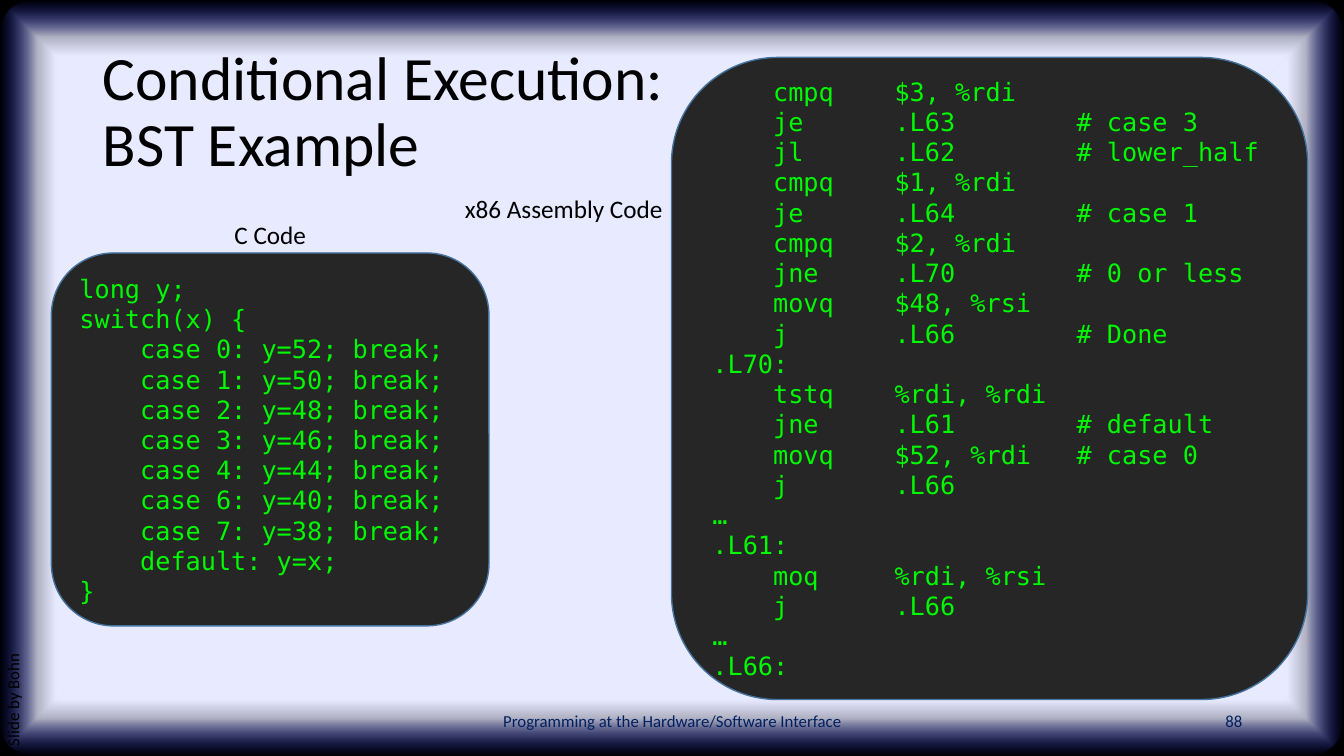
from lxml.etree import SubElement
from pptx import Presentation
from pptx.dml.color import RGBColor
from pptx.enum.shapes import MSO_SHAPE
from pptx.enum.text import MSO_ANCHOR, MSO_AUTO_SIZE, PP_ALIGN
from pptx.oxml import parse_xml
from pptx.oxml.ns import nsdecls, qn
from pptx.util import Inches, Pt

WIDTH, HEIGHT = 13.33, 7.5
CODE_FONT, CODE_COLOR = "DejaVu Sans Mono", "00FA00"
CODE_SIZE = 18
CHARACTER_WIDTH = 0.602 * CODE_SIZE / 72
TAB_COLUMNS = (4, 12, 24)
GLOW_STOPS = [(85, "E8EAFF", 100), (90, "E8EAFF", 75), (100, "162AFF", 0)]

CASES = {0: 52, 1: 50, 2: 48, 3: 46, 4: 44, 6: 40, 7: 38}
C_CODE = [
    "long y;",
    "switch(x) {",
    *(f"\tcase {case}: y={value}; break;" for case, value in CASES.items()),
    "\tdefault: y=x;",
    "}",
]
ASSEMBLY_CODE = [
    "\tcmpq\t$3, %rdi",
    "\tje\t.L63\t# case 3",
    "\tjl\t.L62\t# lower_half",
    "\tcmpq\t$1, %rdi",
    "\tje\t.L64\t# case 1",
    "\tcmpq\t$2, %rdi",
    "\tjne\t.L70\t# 0 or less",
    "\tmovq\t$48, %rsi",
    "\tj\t.L66\t# Done",
    ".L70:",
    "\ttstq\t%rdi, %rdi",
    "\tjne\t.L61\t# default",
    "\tmovq\t$52, %rdi\t# case 0",
    "\tj\t.L66",
    "…",
    ".L61:",
    "\tmoq\t%rdi, %rsi",
    "\tj\t.L66",
    "…",
    ".L66:",
]
CODE_PANELS = [
    ((0.51, 2.51, 4.34, 3.7), C_CODE),
    ((6.66, 0.57, 6.31, 6.37), ASSEMBLY_CODE),
]
TITLE = ["Conditional Execution:", "BST Example"]
FOOTERS = [
    ((4.42, 6.95, 4.5, 0.4), "Programming at the Hardware/Software Interface", PP_ALIGN.CENTER),
    ((9.42, 6.95, 3, 0.4), "88", PP_ALIGN.RIGHT),
]
LABELS = [
    ((2.22, 2.13, 0.92, 0.4), "C Code", PP_ALIGN.CENTER),
    ((4.46, 1.87, 2.21, 0.4), "x86 Assembly Code", PP_ALIGN.RIGHT),
]


def color(value):
    return RGBColor.from_string(value)


def add_span(para, text, size, ink, font="Calibri"):
    span = para.add_run()
    span.text = text
    span.font.size = Pt(size)
    span.font.name = font
    span.font.color.rgb = color(ink)


def add_panel(page, place, kind, fill, line=None):
    panel = page.shapes.add_shape(kind, *map(Inches, place))
    panel.shadow.inherit = False
    panel.fill.solid()
    panel.fill.fore_color.rgb = color(fill)
    if line:
        panel.line.color.rgb = color(line)
        panel.line.width = Pt(1)
    else:
        panel.line.fill.background()
    return panel


def add_glow(panel):
    stops = "".join(
        f'<a:gs pos="{position * 1000}"><a:srgbClr val="{ink}">'
        f'<a:alpha val="{alpha * 1000}"/></a:srgbClr></a:gs>'
        for position, ink, alpha in GLOW_STOPS
    )
    gradient = parse_xml(
        f'<a:gradFill {nsdecls("a")} rotWithShape="1"><a:gsLst>{stops}</a:gsLst>'
        '<a:path path="shape"><a:fillToRect l="50000" t="50000" r="50000" b="50000"/>'
        "</a:path></a:gradFill>"
    )
    properties = panel.fill._xPr
    properties.replace(properties.find(qn("a:solidFill")), gradient)


def add_code(page, place, lines):
    panel = add_panel(page, place, MSO_SHAPE.ROUNDED_RECTANGLE, "262626", "43739E")
    frame = panel.text_frame
    frame.word_wrap = True
    frame.vertical_anchor = MSO_ANCHOR.MIDDLE
    for index, line in enumerate(lines):
        para = frame.add_paragraph() if index else frame.paragraphs[0]
        para.alignment = PP_ALIGN.LEFT
        tabs = SubElement(para._p.get_or_add_pPr(), qn("a:tabLst"))
        for column in TAB_COLUMNS:
            stop = Inches(column * CHARACTER_WIDTH)
            SubElement(tabs, qn("a:tab"), pos=str(stop), algn="l")
        add_span(para, line, CODE_SIZE, CODE_COLOR, CODE_FONT)


def add_text(page, place, lines, size, ink="000000", align=PP_ALIGN.LEFT,
             anchor=MSO_ANCHOR.TOP, spacing=None, wrap=True):
    box = page.shapes.add_textbox(*map(Inches, place))
    frame = box.text_frame
    frame.word_wrap = wrap
    frame.auto_size = MSO_AUTO_SIZE.NONE if wrap else MSO_AUTO_SIZE.SHAPE_TO_FIT_TEXT
    frame.vertical_anchor = anchor
    para = frame.paragraphs[0]
    para.alignment = align
    para.line_spacing = spacing
    for index, line in enumerate(lines):
        if index:
            para.add_line_break()
        add_span(para, line, size, ink)
    return box


def main():
    """Build the slide comparing a C switch with its assembly code."""
    deck = Presentation()
    deck.slide_width, deck.slide_height = Inches(WIDTH), Inches(HEIGHT)
    page = deck.slides.add_slide(deck.slide_layouts[6])
    whole = (0, 0, WIDTH, HEIGHT)
    add_panel(page, whole, MSO_SHAPE.RECTANGLE, "000000")
    glow = add_panel(page, whole, MSO_SHAPE.ROUNDED_RECTANGLE, "E8EAFF")
    glow.adjustments[0] = 0.048
    add_glow(glow)
    add_text(page, (0.92, 0.4, 11.5, 1.45), TITLE, 44, anchor=MSO_ANCHOR.MIDDLE, spacing=0.9)
    for place, text, align in FOOTERS:
        add_text(page, place, [text], 12, "002060", align, MSO_ANCHOR.MIDDLE)
    author = add_text(page, (-2.44, 4.66, 5.28, 0.4), ["Slide by Bohn"], 12, spacing=0.9)
    author.text_frame.paragraphs[0].space_before = Pt(10)
    author.rotation = 270
    for place, lines in CODE_PANELS:
        add_code(page, place, lines)
    for place, text, align in LABELS:
        add_text(page, place, [text], 18, align=align, wrap=False)
    deck.save("out.pptx")


if __name__ == "__main__":
    main()
